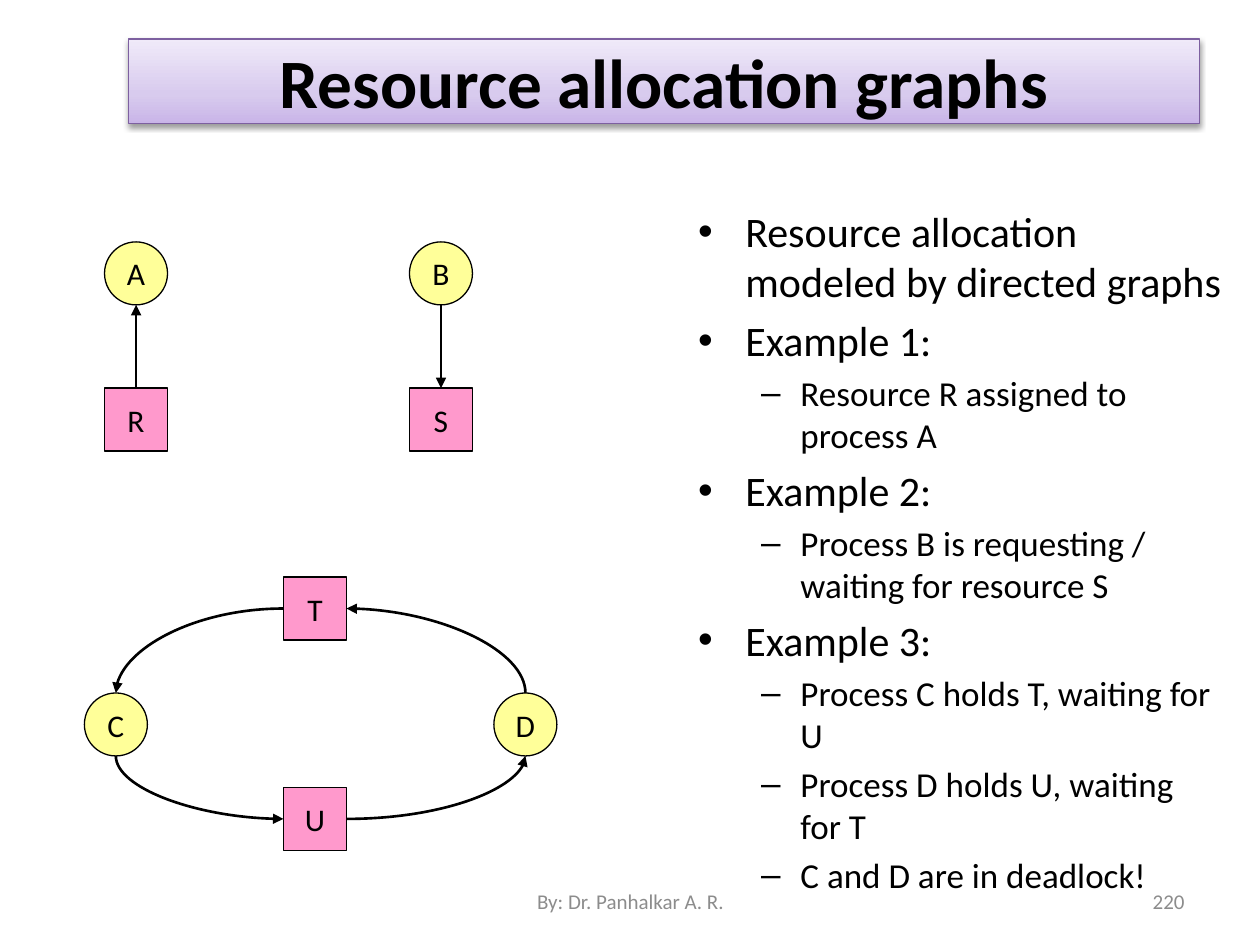
from lxml import etree
from pptx import Presentation
from pptx.dml.color import RGBColor
from pptx.enum.shapes import MSO_CONNECTOR, MSO_SHAPE
from pptx.enum.text import MSO_ANCHOR, MSO_AUTO_SIZE, PP_ALIGN
from pptx.oxml.ns import qn
from pptx.util import Inches, Pt

STRAIGHT, CURVE = MSO_CONNECTOR.STRAIGHT, MSO_CONNECTOR.CURVE
RECTANGLE, OVAL = MSO_SHAPE.RECTANGLE, MSO_SHAPE.OVAL
MIDDLE, NO_FIT = MSO_ANCHOR.MIDDLE, MSO_AUTO_SIZE.NONE
CENTER, RIGHT = PP_ALIGN.CENTER, PP_ALIGN.RIGHT
TOP_SIDE, LEFT_SIDE, RIGHT_SIDE = 0, 1, 3

FONT = "Calibri"
BLACK, GRAY = "000000", "8C8C8C"
PROCESS_COLOR, RESOURCE_COLOR = "FFFF99", "FF99CC"
TITLE_LINE = "7D60A0"
TITLE_STOPS = [(0, "C9B5E8"), (35, "D8CBEE"), (100, "F0EAF9")]
NODE_SIZE = 0.5

BULLETS = [
    (0, "Resource allocation modeled by directed graphs"),
    (0, "Example 1:"),
    (1, "Resource R assigned to process A"),
    (0, "Example 2:"),
    (1, "Process B is requesting / waiting for resource S"),
    (0, "Example 3:"),
    (1, "Process C holds T, waiting for U"),
    (1, "Process D holds U, waiting for T"),
    (1, "C and D are in deadlock!"),
]


def rgb(color):
    return RGBColor.from_string(color)


def set_values(target, values):
    for name, value in values.items():
        setattr(target, name, value)


def place(shape, box):
    set_values(shape, dict(zip(("left", "top", "width", "height"), map(Inches, box))))


def add_element(parent, tag, **attributes):
    element = etree.SubElement(parent, qn(tag))
    for name, value in attributes.items():
        element.set(name, str(value))
    return element


def add_color(parent, color):
    return add_element(parent, "a:srgbClr", val=color)


def write(paragraph, text, size, color=BLACK, **font_values):
    run = paragraph.add_run()
    run.text = text
    set_values(run.font, {"name": FONT, "size": Pt(size), **font_values})
    run.font.color.rgb = rgb(color)


def set_line(shape, color, width):
    shape.line.color.rgb = rgb(color)
    shape.line.width = Pt(width)


def add_title(slide, box):
    title = slide.shapes.title
    place(title, box)
    title.fill.gradient()
    title.fill.gradient_angle = 90
    stops = title.element.spPr.find(".//" + qn("a:gsLst"))
    stops.clear()
    for percent, color in TITLE_STOPS:
        add_color(add_element(stops, "a:gs", pos=percent * 1000), color)
    set_line(title, TITLE_LINE, 0.75)
    effects = add_element(title.element.spPr, "a:effectLst")
    shadow = add_element(effects, "a:outerShdw", blurRad=Pt(3.1), dist=Pt(1.6),
                         dir=90 * 60000, rotWithShape=0)
    add_element(add_color(shadow, BLACK), "a:alpha", val=38000)
    frame = title.text_frame
    set_values(frame, {"auto_size": NO_FIT, "vertical_anchor": MIDDLE, "word_wrap": True})
    frame.paragraphs[0].alignment = CENTER
    write(frame.paragraphs[0], "Resource allocation graphs", 39.6, bold=True)


def add_bullets(slide, box):
    body = slide.placeholders[1]
    place(body, box)
    frame = body.text_frame
    frame.auto_size = NO_FIT
    for index, (level, text) in enumerate(BULLETS):
        paragraph = frame.add_paragraph() if index else frame.paragraphs[0]
        paragraph.level = level
        write(paragraph, text, 20 if level else 24)


def add_node(slide, label, left, top, kind, color):
    node = slide.shapes.add_shape(kind, *map(Inches, (left, top, NODE_SIZE, NODE_SIZE)))
    node.shadow.inherit = False
    node.fill.solid()
    node.fill.fore_color.rgb = rgb(color)
    set_line(node, BLACK, 0.75)
    set_values(node.text_frame, {"vertical_anchor": MIDDLE, "word_wrap": False})
    paragraph = node.text_frame.paragraphs[0]
    paragraph.alignment = CENTER
    write(paragraph, label, 18)
    return node


def add_process(slide, label, left, top):
    return add_node(slide, label, left, top, OVAL, PROCESS_COLOR)


def add_resource(slide, label, left, top):
    return add_node(slide, label, left, top, RECTANGLE, RESOURCE_COLOR)


def add_edge(slide, kind, resource, side, process, to_process):
    process_x = process.left + process.width // 2
    process_y = process.top
    if resource.top > process.top:
        process_y += process.height
    edge = slide.shapes.add_connector(kind, 0, 0, process_x, process_y)
    edge.begin_connect(resource, side)
    edge.end_x, edge.end_y = process_x, process_y
    set_line(edge, BLACK, 1.5)
    properties = edge.element.spPr
    if kind == CURVE:
        properties.find(qn("a:prstGeom")).set("prst", "curvedConnector2")
    arrow_end = "a:tailEnd" if to_process else "a:headEnd"
    add_element(properties.find(qn("a:ln")), arrow_end, type="triangle")
    add_element(properties, "a:effectLst")


def add_pair(slide, left, top, process_label, resource_label, to_process):
    process = add_process(slide, process_label, left, top)
    resource = add_resource(slide, resource_label, left, top + 1.16)
    add_edge(slide, STRAIGHT, resource, TOP_SIDE, process, to_process)


def add_deadlock(slide, box):
    left, top, width, height = box
    resource_left = left + 1.58
    process_top = top + 0.92
    upper = add_resource(slide, "T", resource_left, top)
    lower = add_resource(slide, "U", resource_left, top + height - NODE_SIZE)
    first = add_process(slide, "C", left, process_top)
    second = add_process(slide, "D", left + width - NODE_SIZE, process_top)
    for resource, side, process, to_process in [
        (upper, LEFT_SIDE, first, True),
        (upper, RIGHT_SIDE, second, False),
        (lower, RIGHT_SIDE, second, True),
        (lower, LEFT_SIDE, first, False),
    ]:
        add_edge(slide, CURVE, resource, side, process, to_process)


def add_footer(slide, box, text, alignment):
    frame = slide.shapes.add_textbox(*map(Inches, box)).text_frame
    set_values(frame, {"word_wrap": True, "vertical_anchor": MIDDLE})
    frame.paragraphs[0].alignment = alignment
    write(frame.paragraphs[0], text, 12, GRAY)


def main():
    presentation = Presentation()
    set_values(presentation, {"slide_width": Inches(10), "slide_height": Inches(7.5)})
    slide = presentation.slides.add_slide(presentation.slide_layouts[1])
    add_title(slide, (1.02, 0.31, 8.5, 0.67))
    add_bullets(slide, (5.44, 1.58, 4.36, 5.42))
    add_pair(slide, 0.83, 1.92, "A", "R", True)
    add_pair(slide, 3.25, 1.92, "B", "S", False)
    add_deadlock(slide, (0.67, 4.58, 3.75, 2.17))
    add_footer(slide, (7.17, 6.95, 2.33, 0.4), "220", RIGHT)
    add_footer(slide, (3.42, 6.95, 3.17, 0.4), "By: Dr. Panhalkar A. R.", CENTER)
    presentation.save("out.pptx")


if __name__ == "__main__":
    main()
